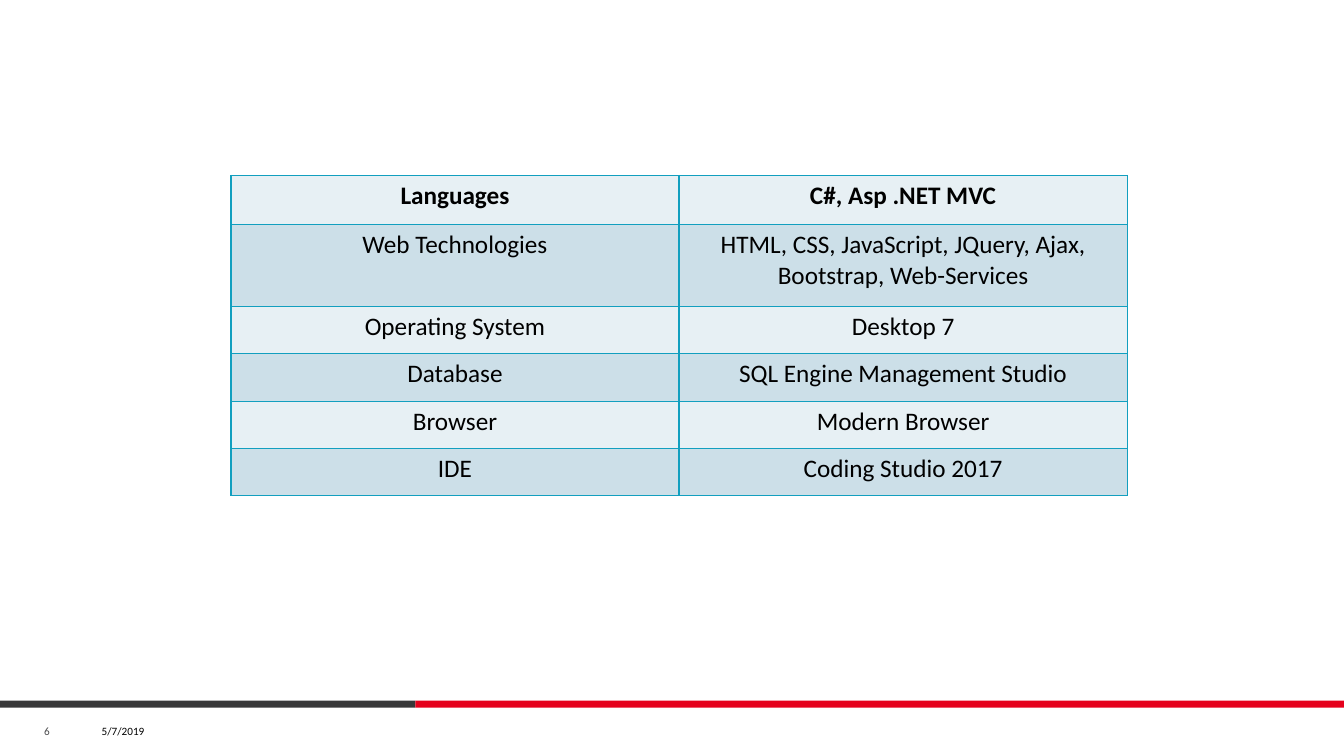
import pptx
import pptx.util
import pptx.dml.color
import pptx.enum.shapes
import pptx.enum.text
import pptx.oxml
import pptx.oxml.ns

Inches, Pt = pptx.util.Inches, pptx.util.Pt

# Content
rows = [
    ("Languages", "C#, Asp .NET MVC"),
    ("Web Technologies",
     "HTML, CSS, JavaScript, JQuery, Ajax, Bootstrap, Web-Services"),
    ("Operating System", "Desktop 7"),
    ("Database", "SQL Engine Management Studio"),
    ("Browser", "Modern Browser"),
    ("IDE", "Coding Studio 2017"),
]
tall = [0.49, 0.81] + [0.47] * 4
wide = 4.445
hues = {"dark": "383839", "red": "E5011C", "line": "129FBF", "text": "000000",
        "gray": "4C4C4E", "pale": "E7F0F4", "blue": "CCDFE8"}
bars = [(0, 4.12, "dark"), (4.12, 9.21, "red")]
notes = [("5/7/2019", 0.91, 0.76, "text"), ("6", 0.34, 0.37, "gray")]


def tint(name):
    return pptx.dml.color.RGBColor.from_string(hues[name])


def style(para, hue, **form):
    para.font.color.rgb = tint(hue)
    for key, val in {"name": "Calibri", **form}.items():
        setattr(para.font, key, val)


def edge(cell):
    props = cell._tc.get_or_add_tcPr()
    for spot, side in enumerate(("lnL", "lnR", "lnT", "lnB")):
        props.insert(spot, pptx.oxml.parse_xml(
            f'<a:{side} {pptx.oxml.ns.nsdecls("a")} w="{Pt(1)}"><a:solidFill>'
            f'<a:srgbClr val="{hues["line"]}"/></a:solidFill></a:{side}>'))


deck = pptx.Presentation()
deck.slide_width, deck.slide_height = Inches(13.33), Inches(7.5)
slide = deck.slides.add_slide(deck.slide_layouts[6])

# Footer bars
for left, width, hue in bars:
    bar = slide.shapes.add_shape(
        pptx.enum.shapes.MSO_SHAPE.RECTANGLE,
        Inches(left), Inches(6.95), Inches(width), Inches(0.07))
    bar.shadow.inherit = False
    bar.fill.solid()
    bar.fill.fore_color.rgb = tint(hue)
    bar.line.fill.background()

# Date and page number
for text, left, width, hue in notes:
    box = slide.shapes.add_textbox(
        Inches(left), Inches(7.13), Inches(width), Inches(0.25))
    frame = box.text_frame
    frame.word_wrap = True
    frame.vertical_anchor = pptx.enum.text.MSO_ANCHOR.MIDDLE
    frame.text = text
    style(frame.paragraphs[0], hue, size=Pt(8))

# Table of tools
grid = slide.shapes.add_table(
    len(rows), 2, Inches(2.29), Inches(1.74),
    Inches(2 * wide), Inches(sum(tall))).table
for col in grid.columns:
    col.width = Inches(wide)
for r, row in enumerate(rows):
    grid.rows[r].height = Inches(tall[r])
    for c, text in enumerate(row):
        cell = grid.cell(r, c)
        cell.text = text
        cell.fill.solid()
        cell.fill.fore_color.rgb = tint("blue" if r % 2 else "pale")
        edge(cell)
        para = cell.text_frame.paragraphs[0]
        para.alignment = pptx.enum.text.PP_ALIGN.CENTER
        style(para, "text", size=Pt(18), bold=r == 0)

deck.save("out.pptx")
